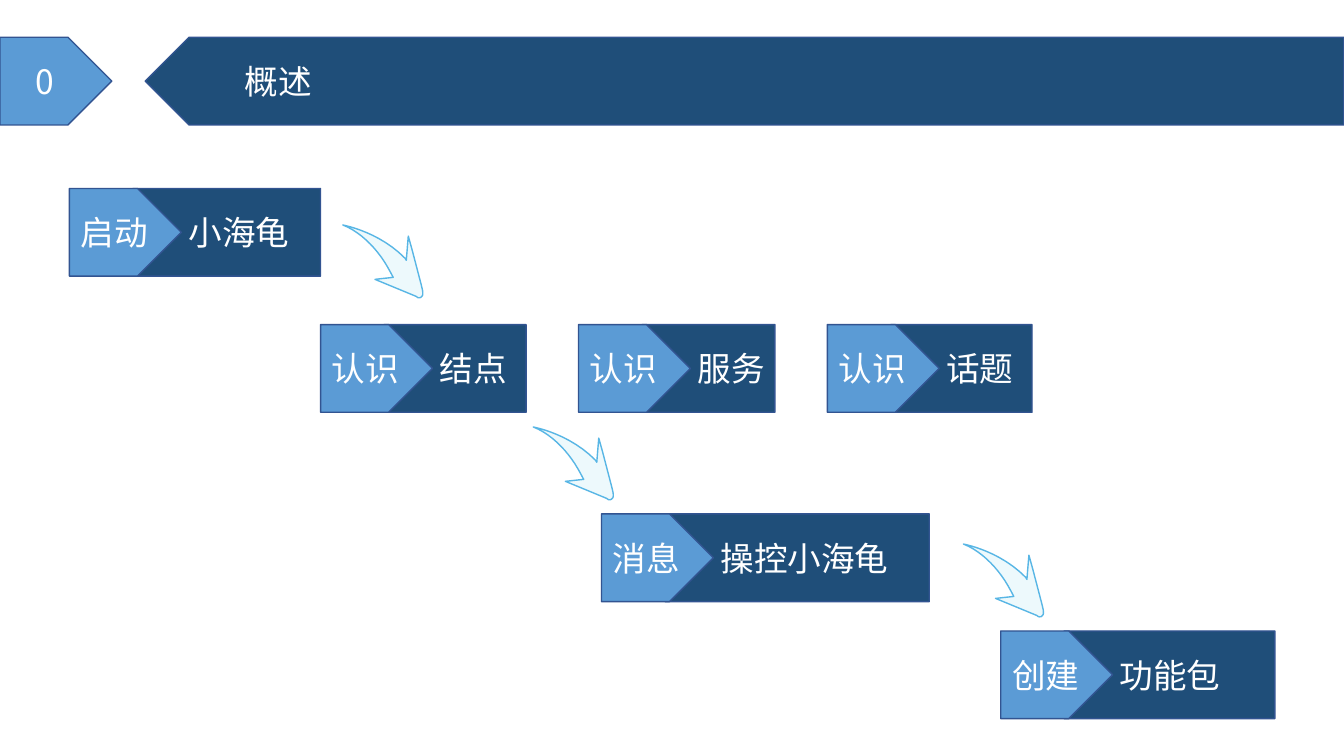
from lxml import etree
from pptx import Presentation
from pptx.dml.color import RGBColor
from pptx.enum.shapes import MSO_SHAPE
from pptx.enum.text import MSO_ANCHOR, MSO_AUTO_SIZE, PP_ALIGN
from pptx.oxml.ns import qn
from pptx.util import Cm, Pt

PENTAGON = MSO_SHAPE.PENTAGON
LEFT, CENTER = PP_ALIGN.LEFT, PP_ALIGN.CENTER
MIDDLE = MSO_ANCHOR.MIDDLE
NO_AUTOFIT = MSO_AUTO_SIZE.NONE

FONT = "Noto Sans CJK SC"
COLORS = {
    "tag": "5B9BD5",
    "body": "1F4E79",
    "edge": "325491",
    "arrow": "D4F1F9",
    "arrow_edge": "58B6E5",
    "text": "FFFFFF",
}
SLIDE_W, SLIDE_H = 33.87, 19.05
TAG_W, BAR_H = 2.82, 2.21
BODY_SHIFT = 0.5
BODY_INDENT = 1.95

STEPS = [
    (1.75, 4.75, 6.33, "启动", "小海龟"),
    (8.08, 8.18, 5.18, "认识", "结点"),
    (14.58, 8.18, 4.95, "认识", "服务"),
    (20.85, 8.18, 5.16, "认识", "话题"),
    (15.16, 12.95, 8.26, "消息", "操控小海龟"),
    (25.22, 15.9, 6.91, "创建", "功能包"),
]
ARROWS = [(8.64, 5.67), (13.44, 10.76), (24.28, 13.71)]
ARROW_OUTLINE = [
    [(0.51, 0.2), (0.94, 0.69), (1.19, 1.17)],
    [(1.27, 1.32)], [(0.81, 1.37)], [(1.85, 1.8)], [(1.89, 1.83)],
    [(1.94, 1.84), (1.97, 1.83), (1.99, 1.8)],
    [(2.02, 1.78), (2.02, 1.73), (2.01, 1.65)],
    [(1.98, 1.52)], [(1.75, 0.64)], [(1.65, 0.28)], [(1.6, 0.89)], [(1.57, 0.84)],
    [(0.94, 0.2), (0.13, 0.03), (0, 0)],
]


def color(name):
    """Return the named palette colour."""
    return RGBColor.from_string(COLORS[name])


def write(shape, text, align=LEFT, left=0.25, right=0.0, size=24):
    """Write one formatted line of text into a shape."""
    frame = shape.text_frame
    frame.auto_size = NO_AUTOFIT
    frame.word_wrap = True
    frame.vertical_anchor = MIDDLE
    frame.margin_left, frame.margin_right = Cm(left), Cm(right)
    paragraph = frame.paragraphs[0]
    paragraph.alignment = align
    paragraph.line_spacing = 1.0
    run = paragraph.add_run()
    run.text = text
    run.font.name = FONT
    run.font.size = Pt(size)
    run.font.color.rgb = color("text")
    east_asian = etree.Element(qn("a:ea"), typeface=FONT)
    run.font._element.find(qn("a:latin")).addnext(east_asian)


def paint(shape, fill, edge):
    """Give a shape its fill and outline without a shadow."""
    shape.shadow.inherit = False
    shape.fill.solid()
    shape.fill.fore_color.rgb = color(fill)
    shape.line.color.rgb = color(edge)
    shape.line.width = Pt(1)


def add_plate(slide, left, top, width, fill, flip=False):
    """Add a pointed plate facing right, or left when flipped."""
    plate = slide.shapes.add_shape(PENTAGON, Cm(left), Cm(top), Cm(width), Cm(BAR_H))
    paint(plate, fill, "edge")
    if flip:
        plate.element.spPr.find(qn("a:xfrm")).set("flipH", "1")
    return plate


def add_tag(slide, left, top, text):
    """Add a light tag with centred text."""
    write(add_plate(slide, left, top, TAG_W, "tag"), text, align=CENTER, right=0.25)


def add_header(slide, left, top, number, heading):
    """Add the numbered tag and the title bar up to the right edge."""
    bar_left, title_left = left + 3.66, left + 6.16
    add_tag(slide, left, top, number)
    add_plate(slide, bar_left, top, SLIDE_W - bar_left, "body", flip=True)
    title = slide.shapes.title
    title.left, title.top = Cm(title_left), Cm(top)
    title.width, title.height = Cm(SLIDE_W - title_left), Cm(BAR_H)
    write(title, heading, left=0)
    slide.shapes.element.append(title.element)


def add_step(slide, left, top, width, action, subject):
    """Add a step: a light action tag over a dark subject plate."""
    body = add_plate(slide, left + BODY_SHIFT, top, width - BODY_SHIFT, "body", flip=True)
    write(body, subject, left=BODY_INDENT)
    add_tag(slide, left, top, action)


def bezier(start, first, second, end, pieces=12):
    """Return points along a cubic curve, without its start."""
    points = []
    for i in range(1, pieces + 1):
        t = i / pieces
        weights = ((1 - t) ** 3, 3 * t * (1 - t) ** 2, 3 * t * t * (1 - t), t ** 3)
        pairs = zip(start, first, second, end)
        points.append(tuple(sum(w * v for w, v in zip(weights, axis)) for axis in pairs))
    return points


def add_arrow(slide, left, top):
    """Add a translucent curved arrow pointing down to the right."""
    points = [(0, 0)]
    for segment in ARROW_OUTLINE:
        points += bezier(points[-1], *segment) if len(segment) == 3 else segment
    outline = [(Cm(left + x), Cm(top + y)) for x, y in points]
    builder = slide.shapes.build_freeform(*outline[0])
    builder.add_line_segments(outline[1:], close=True)
    arrow = builder.convert_to_shape()
    paint(arrow, "arrow", "arrow_edge")
    tint = arrow.element.spPr.find(qn("a:solidFill"))[0]
    etree.SubElement(tint, qn("a:alpha"), val="41000")


def main():
    """Build and save the overview slide."""
    deck = Presentation()
    deck.slide_width, deck.slide_height = Cm(SLIDE_W), Cm(SLIDE_H)
    slide = deck.slides.add_slide(deck.slide_layouts.get_by_name("Title Only"))
    add_header(slide, 0, 0.94, "0", "概述")
    for step in STEPS:
        add_step(slide, *step)
    for arrow in ARROWS:
        add_arrow(slide, *arrow)
    deck.save("out.pptx")


if __name__ == "__main__":
    main()
